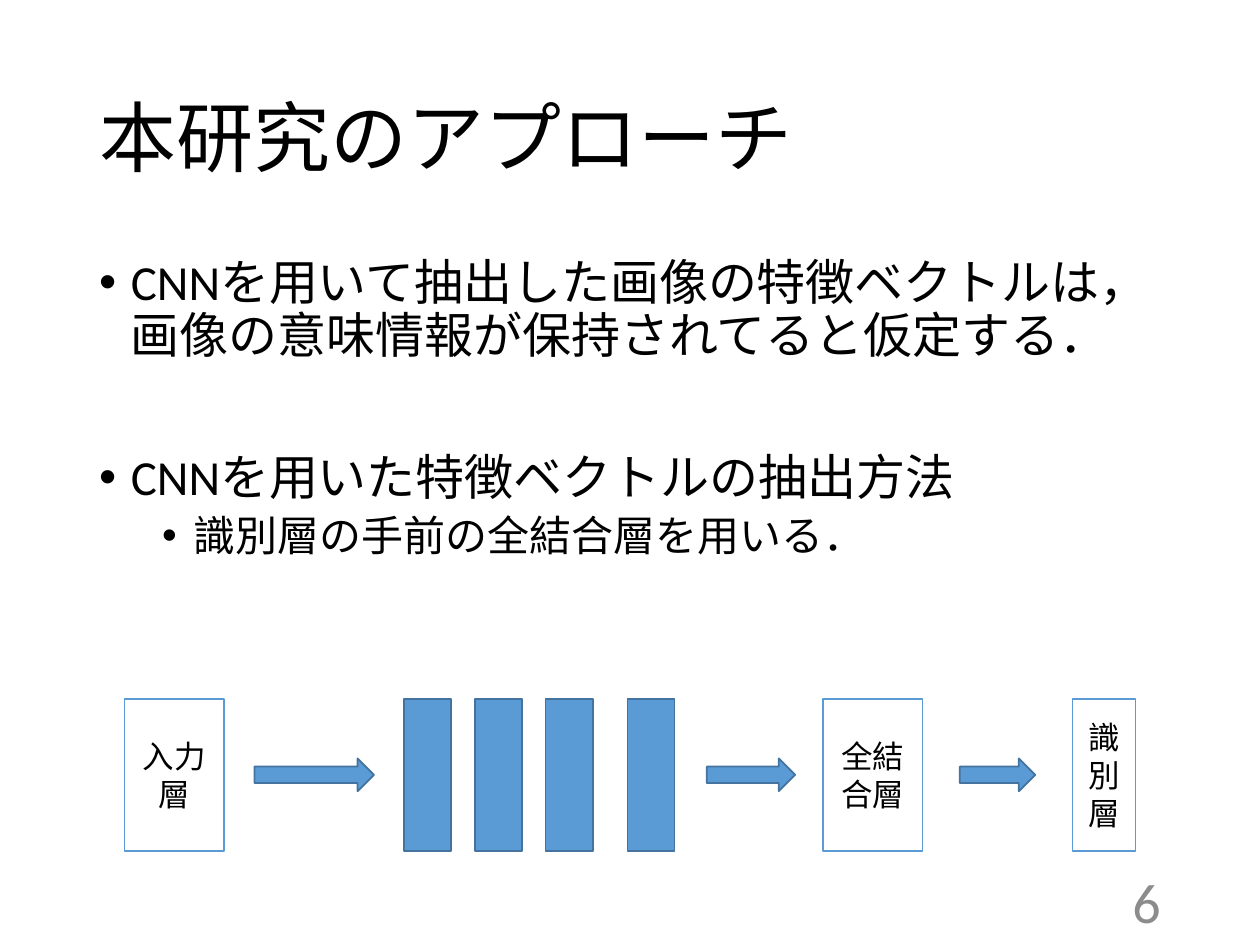
import dataclasses
import typing

import pptx
import pptx.dml.color
import pptx.enum.shapes
import pptx.enum.text
import pptx.oxml
import pptx.oxml.ns
import pptx.util

Cm = pptx.util.Cm
RGBColor = pptx.dml.color.RGBColor
Align = pptx.enum.text.PP_ALIGN
Anchor = pptx.enum.text.MSO_ANCHOR
Kind = pptx.enum.shapes.MSO_SHAPE

BLACK = RGBColor(0x00, 0x00, 0x00)
WHITE = RGBColor(0xFF, 0xFF, 0xFF)
GRAY = RGBColor(0x8C, 0x8C, 0x8C)
BLUE = RGBColor(0x5B, 0x9B, 0xD5)
DARK_BLUE = RGBColor(0x43, 0x73, 0x9E)

LAYER_HEIGHT = 3.07
ARROW_HEIGHT = 0.66
NETWORK_MIDDLE = 15.62


@dataclasses.dataclass(frozen=True)
class Stage:
    left: float
    width: float
    label: str = ""
    is_arrow: bool = False


@dataclasses.dataclass(frozen=True)
class Point:
    text: str
    size: float
    indent: float
    space_before: float
    level: int = 0


NETWORK = [
    Stage(2.51, 2.01, "入力層"),
    Stage(5.13, 2.41, is_arrow=True),
    *[Stage(left, 0.95) for left in (8.15, 9.58, 11.0, 12.65)],
    Stage(14.25, 1.78, is_arrow=True),
    Stage(16.59, 2.01, "全結合層"),
    Stage(19.35, 1.52, is_arrow=True),
    Stage(21.62, 1.27, "識別層"),
]

POINTS = [
    Point("CNNを用いて抽出した画像の特徴ベクトルは，画像の意味情報が保持されてると仮定する．",
          28, 0.64, 10),
    Point("CNNを用いた特徴ベクトルの抽出方法", 28, 0.64, 51),
    Point("識別層の手前の全結合層を用いる．", 24, 1.91, 5, level=1),
]


def write(paragraph: typing.Any, text: str, *, size: float,
          color: RGBColor = BLACK, align: Align = Align.LEFT,
          line_spacing: float = 1.0, space_before: float = 0) -> None:
    paragraph.alignment = align
    paragraph.line_spacing = line_spacing
    paragraph.space_before = pptx.util.Pt(space_before)
    run = paragraph.add_run()
    run.text = text
    run.font.size = pptx.util.Pt(size)
    run.font.name = "Calibri"
    run.font.color.rgb = color


def add_bullet(paragraph: typing.Any, indent: float) -> None:
    properties = paragraph._p.get_or_add_pPr()
    properties.set("marL", str(Cm(indent)))
    properties.set("indent", str(Cm(-0.64)))
    namespace = pptx.oxml.ns.nsdecls("a")
    for xml in (f'<a:buFont {namespace} typeface="Arial"/>',
                f'<a:buChar {namespace} char="•"/>'):
        properties.append(pptx.oxml.parse_xml(xml))


def prepare(frame: typing.Any, anchor: Anchor) -> None:
    frame.word_wrap = True
    frame.auto_size = pptx.enum.text.MSO_AUTO_SIZE.NONE
    frame.vertical_anchor = anchor


def add_title(slide: typing.Any, text: str) -> None:
    title = slide.shapes.title
    title.left, title.top = Cm(1.75), Cm(1.02)
    title.width, title.height = Cm(21.9), Cm(3.68)
    prepare(title.text_frame, Anchor.MIDDLE)
    write(title.text_frame.paragraphs[0], text, size=44, line_spacing=0.9)


def add_points(slide: typing.Any, points: list[Point]) -> None:
    body = slide.shapes.add_textbox(Cm(1.75), Cm(5.08), Cm(21.9), Cm(12.09))
    frame = body.text_frame
    prepare(frame, Anchor.TOP)
    for index, point in enumerate(points):
        paragraph = frame.add_paragraph() if index else frame.paragraphs[0]
        paragraph.level = point.level
        write(paragraph, point.text, size=point.size, line_spacing=0.9,
              space_before=point.space_before)
        add_bullet(paragraph, point.indent)


def add_page_number(slide: typing.Any, number: str) -> None:
    page = slide.shapes.add_textbox(Cm(17.93), Cm(17.65), Cm(5.72), Cm(1.02))
    prepare(page.text_frame, Anchor.MIDDLE)
    write(page.text_frame.paragraphs[0], number, size=32, color=GRAY,
          align=Align.RIGHT)


def add_stage(network: typing.Any, stage: Stage) -> None:
    height = ARROW_HEIGHT if stage.is_arrow else LAYER_HEIGHT
    block = network.shapes.add_shape(
        Kind.RIGHT_ARROW if stage.is_arrow else Kind.RECTANGLE,
        Cm(stage.left), Cm(NETWORK_MIDDLE - height / 2),
        Cm(stage.width), Cm(height))
    block.shadow.inherit = False
    block.fill.solid()
    block.fill.fore_color.rgb = WHITE if stage.label else BLUE
    block.line.color.rgb = BLUE if stage.label else DARK_BLUE
    block.line.width = pptx.util.Pt(1)
    if stage.label:
        prepare(block.text_frame, Anchor.MIDDLE)
        write(block.text_frame.paragraphs[0], stage.label, size=18,
              align=Align.CENTER)


def main() -> None:
    presentation = pptx.Presentation()
    presentation.slide_width = Cm(25.4)
    presentation.slide_height = Cm(19.05)
    slide = presentation.slides.add_slide(presentation.slide_layouts[5])
    add_title(slide, "本研究のアプローチ")
    add_points(slide, POINTS)
    add_page_number(slide, "6")
    network = slide.shapes.add_group_shape()
    for stage in NETWORK:
        add_stage(network, stage)
    presentation.save("out.pptx")


if __name__ == "__main__":
    main()
